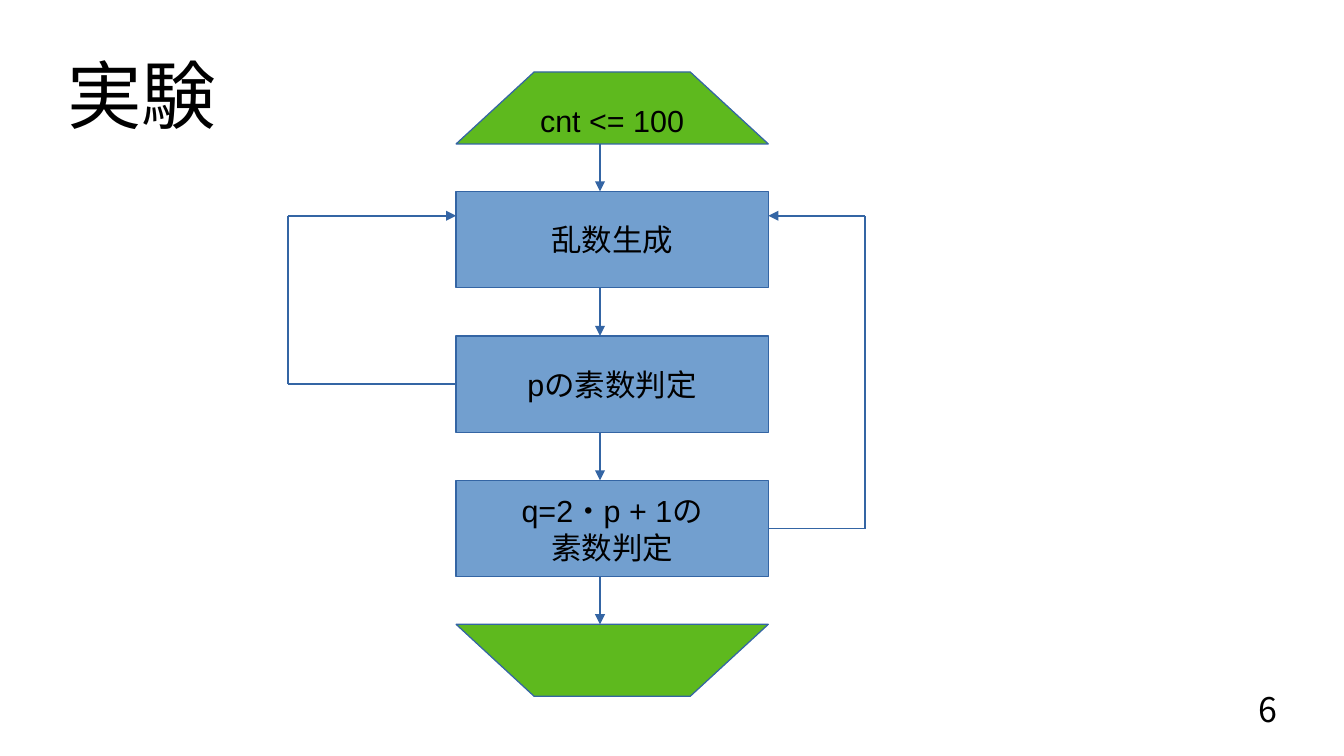
from lxml import etree
from pptx import Presentation
from pptx.dml.color import RGBColor
from pptx.enum.shapes import MSO_CONNECTOR, MSO_SHAPE
from pptx.enum.text import MSO_ANCHOR, PP_ALIGN
from pptx.oxml.ns import qn
from pptx.util import Inches, Pt

STRAIGHT = MSO_CONNECTOR.STRAIGHT
PROCESS = MSO_SHAPE.FLOWCHART_PROCESS
LEFT, CENTER, RIGHT = PP_ALIGN.LEFT, PP_ALIGN.CENTER, PP_ALIGN.RIGHT
TOP, MIDDLE = MSO_ANCHOR.TOP, MSO_ANCHOR.MIDDLE
LEFT_SIDE, RIGHT_SIDE = 1, 3

COLORS = {"text": "000000", "step": "729FCF", "loop": "5EB91E", "line": "3465A4"}
LATIN_FONT = "Arial"
ASIAN_FONT = "Noto Sans CJK JP"

STEPS = [["乱数生成"], ["pの素数判定"], ["q=2・p + 1の", "素数判定"]]
STEP_LEFT, STEP_WIDTH, STEP_HEIGHT = 3.74, 2.56, 0.79
STEP_RIGHT = STEP_LEFT + STEP_WIDTH
FIRST_TOP, PITCH = 1.57, 1.185
FLOW_X, FLOW_GAP = 4.92, 0.39
RETURN_Y = 1.77
LOOP_HEIGHT, LOOP_INSET = 0.59, 0.64
LOOP_START_BOTTOM, LOOP_END_TOP = 1.18, 5.12


def color(name):
    return RGBColor.from_string(COLORS[name])


def write(frame, lines, size, align, anchor, margins=(0, 0), font=LATIN_FONT):
    frame.margin_left = frame.margin_right = Inches(margins[0])
    frame.margin_top = frame.margin_bottom = Inches(margins[1])
    frame.vertical_anchor = anchor
    for index, line in enumerate(lines):
        para = frame.add_paragraph() if index else frame.paragraphs[0]
        para.alignment = align
        span = para.add_run()
        span.text = line
        span.font.size = Pt(size)
        span.font.name = font
        span.font.color.rgb = color("text")
        asian = etree.SubElement(span.font._element, qn("a:ea"))
        asian.set("typeface", ASIAN_FONT)


def add_text(page, place, text, size, align=LEFT, anchor=TOP, wrap=True, **style):
    box = page.shapes.add_textbox(*map(Inches, place))
    box.text_frame.word_wrap = wrap
    write(box.text_frame, [text], size, align, anchor, **style)


def paint(shape, fill):
    shape.shadow.inherit = False
    shape.fill.solid()
    shape.fill.fore_color.rgb = color(fill)
    shape.line.color.rgb = color("line")
    shape.line.width = Pt(0)


def add_step(page, top, lines):
    place = (STEP_LEFT, top, STEP_WIDTH, STEP_HEIGHT)
    step = page.shapes.add_shape(PROCESS, *map(Inches, place))
    paint(step, "step")
    step.text_frame.word_wrap = True
    write(step.text_frame, lines, 18, CENTER, MIDDLE, (0.1, 0.05))
    return step


def add_loop_mark(page, wide_y, narrow_y):
    corners = [
        (STEP_LEFT, wide_y),
        (STEP_RIGHT, wide_y),
        (STEP_RIGHT - LOOP_INSET, narrow_y),
        (STEP_LEFT + LOOP_INSET, narrow_y),
    ]
    points = [(Inches(x), Inches(y)) for x, y in corners]
    builder = page.shapes.build_freeform(*points[0])
    builder.add_line_segments(points[1:], close=True)
    paint(builder.convert_to_shape(), "loop")


def add_line(page, start, end, arrow=False):
    line = page.shapes.add_connector(STRAIGHT, *map(Inches, start + end))
    line.line.color.rgb = color("line")
    line.line.width = Pt(1)
    if arrow:
        tail = etree.SubElement(line.line._get_or_add_ln(), qn("a:tailEnd"))
        tail.set("type", "triangle")
    etree.SubElement(line._element.spPr, qn("a:effectLst"))
    return line


def add_return(page, step, side, step_y, edge_x, outer_x):
    exit_line = add_line(page, (edge_x, step_y), (outer_x, step_y))
    exit_line.begin_connect(step, side)
    add_line(page, (outer_x, step_y), (outer_x, RETURN_Y))
    add_line(page, (outer_x, RETURN_Y), (edge_x, RETURN_Y), arrow=True)


def main():
    deck = Presentation()
    deck.slide_width, deck.slide_height = Inches(11.02), Inches(6.2)
    page = deck.slides.add_slide(deck.slide_layouts[6])

    add_text(page, (0.55, 0.25, 9.92, 1.04), "実験", 44, anchor=MIDDLE)
    add_loop_mark(page, LOOP_START_BOTTOM, LOOP_START_BOTTOM - LOOP_HEIGHT)
    add_loop_mark(page, LOOP_END_TOP, LOOP_END_TOP + LOOP_HEIGHT)
    add_text(page, (4.33, 0.79, 1.38, 0.38), "cnt <= 100", 18,
             wrap=False, margins=(0.1, 0.05))

    tops = [FIRST_TOP + index * PITCH for index in range(len(STEPS))]
    steps = [add_step(page, top, lines) for top, lines in zip(tops, STEPS)]
    for end_y in tops + [LOOP_END_TOP]:
        add_line(page, (FLOW_X, end_y - FLOW_GAP), (FLOW_X, end_y), arrow=True)

    middles = [top + STEP_HEIGHT / 2 for top in tops]
    add_return(page, steps[1], LEFT_SIDE, middles[1], STEP_LEFT, 2.36)
    add_return(page, steps[2], RIGHT_SIDE, middles[2], STEP_RIGHT, 7.09)

    add_text(page, (7.9, 5.65, 2.57, 0.43), "6", 20, RIGHT, font=ASIAN_FONT)
    deck.save("out.pptx")


if __name__ == "__main__":
    main()
